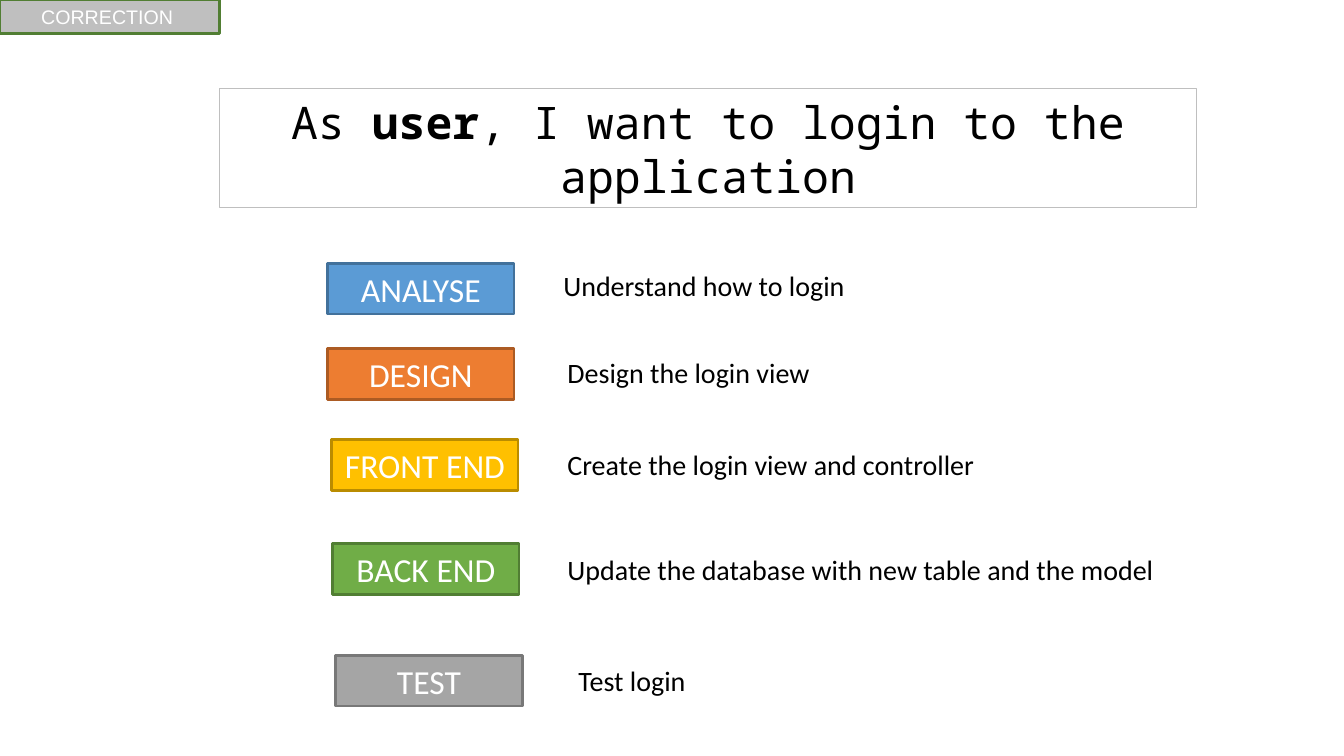
from pptx import Presentation
from pptx.dml.color import RGBColor
from pptx.enum import shapes, text
from pptx.util import Pt

COLORS = {
    "black": "000000", "white": "FFFFFF", "silver": "BFBFBF",
    "blue": "5B9BD5", "dark blue": "42719B",
    "orange": "ED7D31", "dark orange": "AC5B23",
    "gold": "FFC000", "dark gold": "BA8C00",
    "green": "70AD47", "dark green": "517E33",
    "gray": "A5A5A5", "dark gray": "787878",
}


def color(name):
    return RGBColor.from_string(COLORS[name])


def add_box(bounds, runs, size, font_name, font_color, fill=None, line=None, line_width=2):
    """Add a rectangle, or a plain text box when no line is given."""
    lengths = [Pt(value) for value in bounds]
    if line:
        shape = slide.shapes.add_shape(shapes.MSO_SHAPE.RECTANGLE, *lengths)
        shape.shadow.inherit = False
        shape.line.color.rgb = color(line)
        shape.line.width = Pt(line_width)
        if fill:
            shape.fill.solid()
            shape.fill.fore_color.rgb = color(fill)
        else:
            shape.fill.background()
    else:
        shape = slide.shapes.add_textbox(*lengths)
    frame = shape.text_frame
    frame.word_wrap = True
    frame.auto_size = text.MSO_AUTO_SIZE.SHAPE_TO_FIT_TEXT
    paragraph = frame.paragraphs[0]
    paragraph.alignment = text.PP_ALIGN.CENTER if line else text.PP_ALIGN.LEFT
    for words, bold in runs:
        run = paragraph.add_run()
        run.text = words
        if bold:
            run.font.bold = True
    paragraph.font.size = Pt(size)
    paragraph.font.name = font_name
    paragraph.font.color.rgb = color(font_color)


presentation = Presentation()
presentation.slide_width, presentation.slide_height = Pt(960), Pt(540)
slide = presentation.slides.add_slide(presentation.slide_layouts[6])

# User story
story = [("As ", False), ("user", True), (", I want to login to the application", False)]
add_box((157, 63.4, 697.7, 85), story, 32, "Noto Sans Mono", "black",
        line="silver", line_width=0.75)

# Steps: label, fill, left, top, then task, left, top, width
steps = [
    ("ANALYSE", "blue", 234, 188, "Understand how to login", 395.3, 188, 218),
    ("DESIGN", "orange", 234, 249.1, "Design the login view", 398.2, 250.6, 189.4),
    ("FRONT END", "gold", 236.9, 313.9, "Create the login view and controller", 398.2, 316.1, 309.6),
    ("BACK END", "green", 237.6, 388.1,
     "Update the database with new table and the model", 398.2, 391, 438.5),
    ("TEST", "gray", 239.8, 468, "Test login", 406.1, 470.2, 93.6),
]
for label, fill, left, top, task, task_left, task_top, task_width in steps:
    add_box((left, top, 133.2, 36.4), [(label, False)], 24, "Calibri", "white",
            fill, "dark " + fill)
    add_box((task_left, task_top, task_width, 31.5), [(task, False)], 20, "Calibri", "black")

# Corner tag
add_box((0, 0, 157, 24.2), [("CORRECTION ", False)], 14, "Arial", "white",
        "silver", "dark green")

presentation.save("out.pptx")
